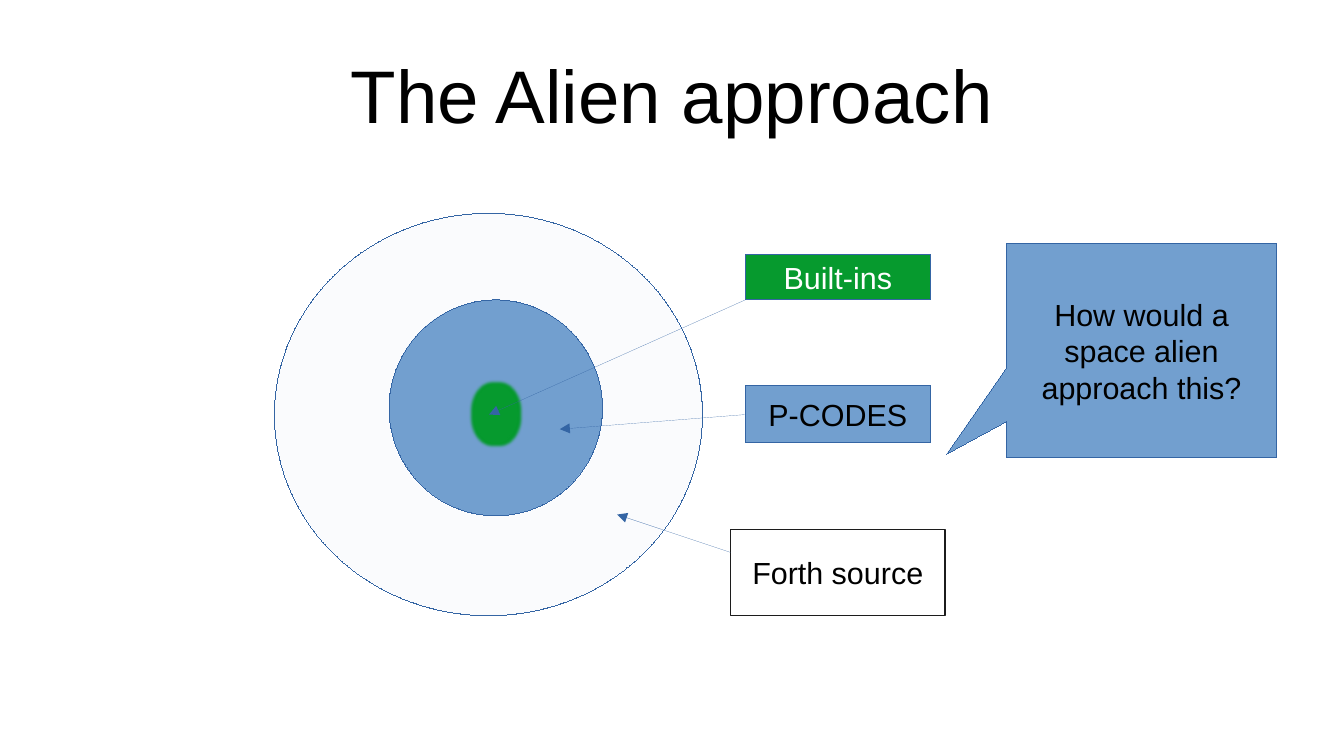
from lxml.etree import SubElement
from pptx import Presentation
from pptx.dml.color import RGBColor
from pptx.enum.shapes import MSO_CONNECTOR, MSO_SHAPE
from pptx.enum.text import MSO_ANCHOR, PP_ALIGN
from pptx.oxml.ns import qn
from pptx.util import Inches, Pt

COLORS = {"blue": "729FCF", "edge": "3465A4", "green": "069A2E",
          "white": "FFFFFF", "black": "000000", "dark": "1C1C1C"}
HAIR = 0.01  # points; a width of 0 would fall back to the theme's line
TITLE = ("The Alien approach", (0.55, 0.25, 9.92, 1.03))

# box, fill, line
CORE = ((3.19, 2.46, 1.75, 1.77), "blue", "edge")
RING = ((2.25, 1.75, 3.51, 3.3), "blue", "edge")
SEED = ((3.89, 3.16, 0.35, 0.47), "green", "green")

# text, box, fill, line, line width, text colour, arrow start, arrow end
LABELS = [
    ("Built-ins", (6.11, 2.09, 1.52, 0.37), "green", "edge", HAIR, "white",
     (6.11, 2.46), (4.01, 3.4)),
    ("P-CODES", (6.11, 3.16, 1.52, 0.47), "blue", "edge", HAIR, "black",
     (6.11, 3.4), (4.59, 3.52)),
    ("Forth source", (5.99, 4.34, 1.76, 0.71), "white", "dark", 0.79, "black",
     (5.99, 4.53), (5.06, 4.22)),
]
BUBBLE = ("How would a space alien approach this?", (8.25, 2, 2.22, 1.75))
TIP = (-0.72, 0.485)

deck = Presentation()
deck.slide_width, deck.slide_height = Inches(11.02), Inches(6.2)
slide = deck.slides.add_slide(deck.slide_layouts[6])


def rgb(name):
    return RGBColor.from_string(COLORS[name])


def write(shape, text, size, color):
    frame = shape.text_frame
    frame.word_wrap = True
    frame.vertical_anchor = MSO_ANCHOR.MIDDLE
    frame.text = text
    line = frame.paragraphs[0]
    line.alignment = PP_ALIGN.CENTER
    font = line.runs[0].font
    font.name, font.size = "Arial", Pt(size)
    font.color.rgb = rgb(color)


def draw(kind, box, fill, edge, width=HAIR):
    shape = slide.shapes.add_shape(kind, *map(Inches, box))
    shape.shadow.inherit = False
    shape.fill.solid()
    shape.fill.fore_color.rgb = rgb(fill)
    shape.line.color.rgb = rgb(edge)
    shape.line.width = Pt(width)
    return shape


def arrow(start, end):
    link = slide.shapes.add_connector(
        MSO_CONNECTOR.STRAIGHT, *map(Inches, start + end))
    link.line.color.rgb = rgb("edge")
    link.line.width = Pt(HAIR)
    props = link._element.spPr
    SubElement(props.find(qn("a:ln")), qn("a:tailEnd"), type="triangle")
    SubElement(props, qn("a:effectLst"))


def fade(shape, percent):
    """Set the opacity of a solid fill."""
    tint = shape._element.spPr.find(qn("a:solidFill"))[0]
    SubElement(tint, qn("a:alpha"), val=str(percent * 1000))


def glow(shape, color, radius):
    """Blur the outline with a halo, radius in inches."""
    effects = shape._element.spPr.find(qn("a:effectLst"))
    halo = SubElement(effects, qn("a:glow"), rad=str(Inches(radius)))
    SubElement(halo, qn("a:srgbClr"), val=COLORS[color])


text, box = TITLE
title = slide.shapes.add_textbox(*map(Inches, box))
write(title, text, 44, "black")
frame = title.text_frame
frame.margin_left = frame.margin_right = 0
frame.margin_top = frame.margin_bottom = 0

draw(MSO_SHAPE.OVAL, *CORE)
fade(draw(MSO_SHAPE.OVAL, *RING), 3)
glow(draw(MSO_SHAPE.OVAL, *SEED), "green", 0.05)

for text, box, fill, edge, width, ink, start, end in LABELS:
    write(draw(MSO_SHAPE.RECTANGLE, box, fill, edge, width), text, 18, ink)
    arrow(start, end)

text, box = BUBBLE
bubble = draw(MSO_SHAPE.RECTANGULAR_CALLOUT, box, "blue", "edge")
bubble.adjustments[0], bubble.adjustments[1] = TIP
write(bubble, text, 18, "black")

deck.save("out.pptx")
